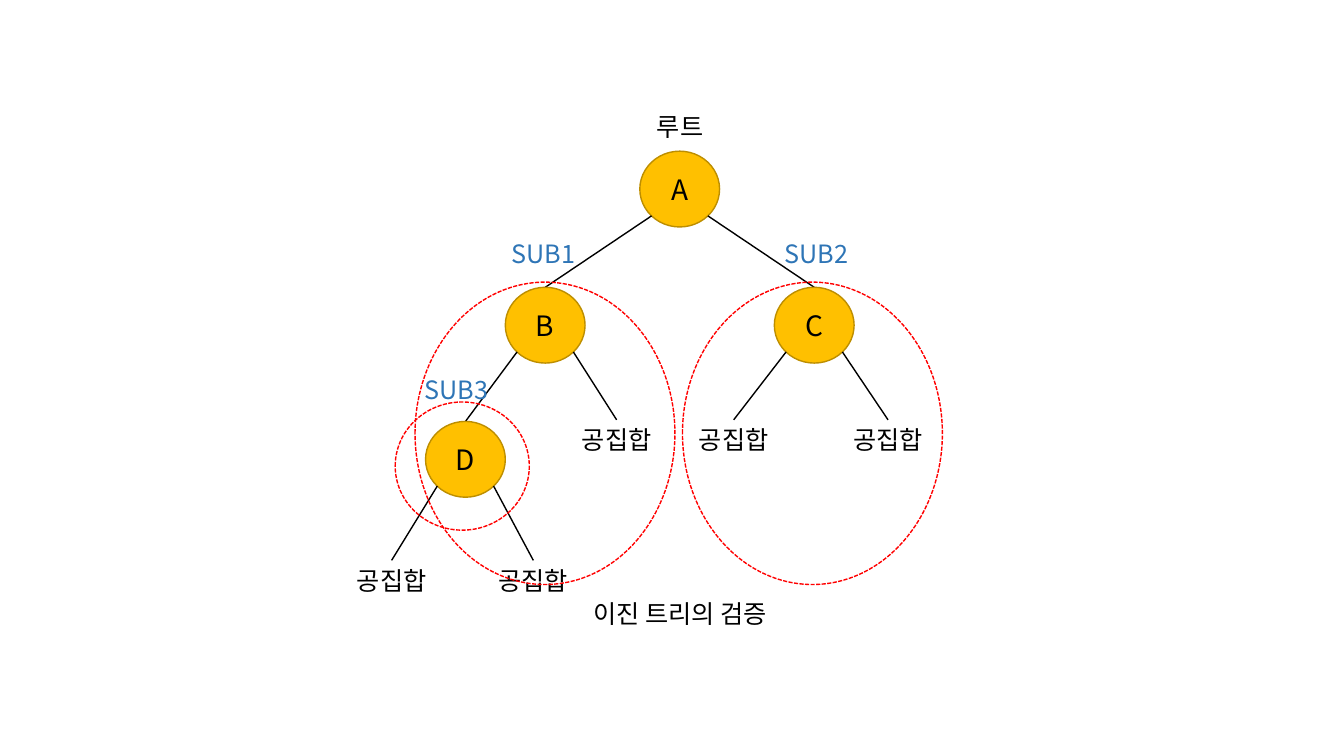
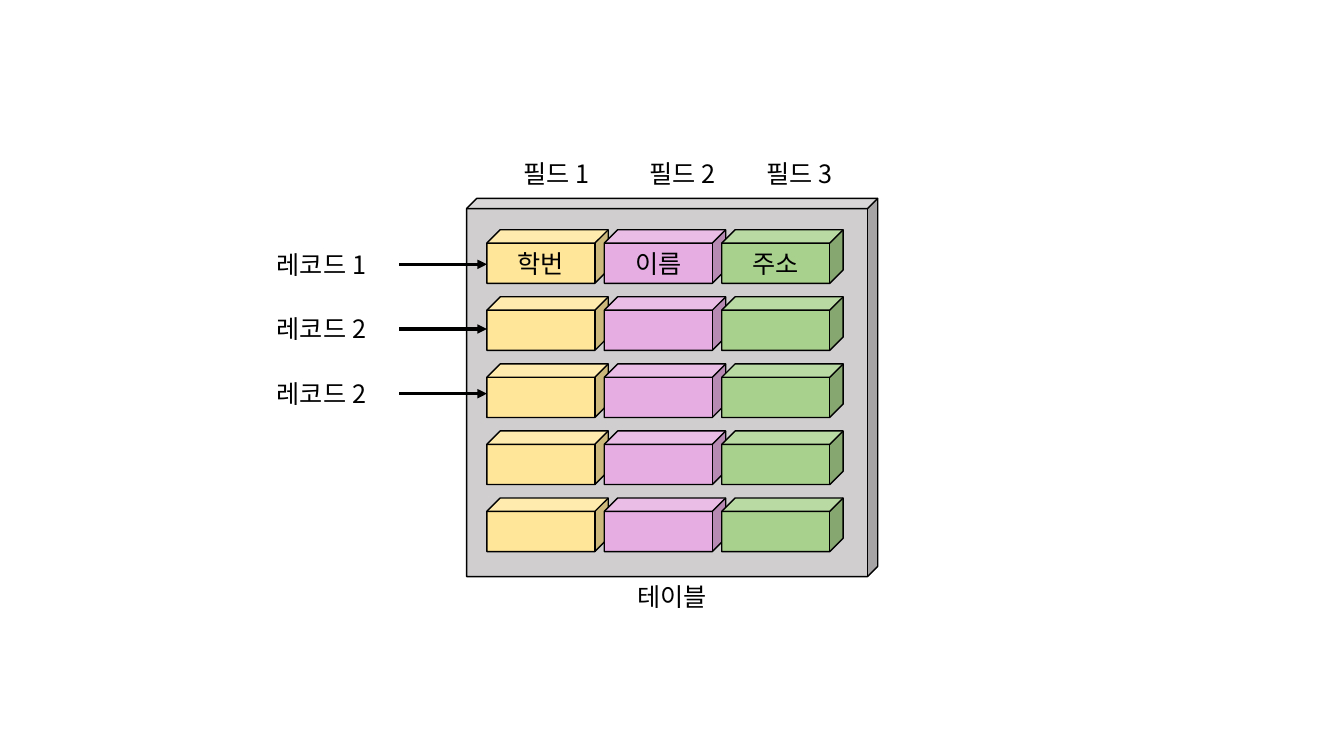
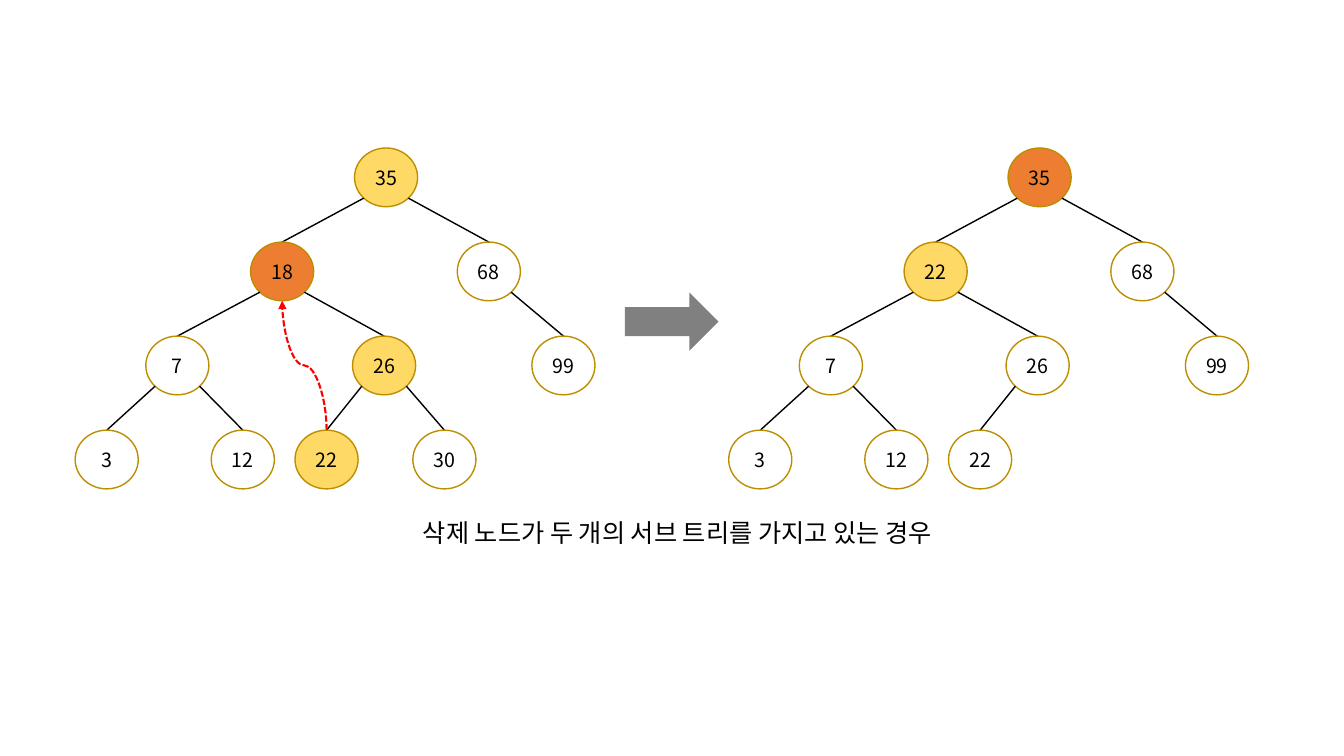
from math import sqrt

from lxml.etree import SubElement
from pptx import Presentation
from pptx.dml.color import RGBColor
from pptx.enum.dml import MSO_LINE
from pptx.enum.shapes import MSO_CONNECTOR, MSO_SHAPE
from pptx.enum.text import MSO_ANCHOR, PP_ALIGN
from pptx.oxml.ns import qn
from pptx.util import Cm, Pt

FONT = "Noto Sans CJK KR"
BLACK, RED, BLUE, GRAY = "000000", "FF0000", "2E75B6", "808080"
GOLD, GOLD_EDGE, YELLOW, ORANGE = "FFC000", "BD8E00", "FFD966", "ED7D31"
LABEL_HEIGHT = 1.02

# Nodes: key -> (text, centre x, top, parent key, fill), in cm
BINARY_NODES = {
    "A": ("A", 17.13, 3.81, None, GOLD),
    "B": ("B", 13.74, 7.24, "A", GOLD),
    "C": ("C", 20.52, 7.24, "A", GOLD),
    "D": ("D", 11.73, 10.62, "B", GOLD),
}
# Empty sets: (centre x, top, parent key)
EMPTY_SETS = [(15.54, 10.58, "B"), (18.49, 10.58, "C"), (22.38, 10.58, "C"),
              (9.87, 14.12, "D"), (13.44, 14.12, "D")]
# Labels: (text, centre x, top, colour)
BINARY_LABELS = [
    ("루트", 17.14, 2.67, BLACK),
    ("이진 트리의 검증", 17.14, 14.94, BLACK),
    ("SUB1", 13.69, 5.89, BLUE),
    ("SUB2", 20.57, 5.89, BLUE),
    ("SUB3", 11.51, 9.3, BLUE),
]
SUBTREE_RINGS = [(17.2, 7.11, 6.55, 7.62), (10.46, 7.11, 6.55, 7.62),
                 (9.96, 10.13, 3.38, 3.23)]

FIELDS = [("필드 1", 14.02, "학번", "FFE699"),
          ("필드 2", 17.2, "이름", "E5ADE2"),
          ("필드 3", 20.14, "주소", "A9D18E")]
RECORDS = ["레코드 1", "레코드 2", "레코드 2"]
ROW_COUNT = 5

# Search tree: key -> (centre x, level, parent key)
SEARCH_NODES = {
    "35": (9.73, 0, None),
    "18": (7.11, 1, "35"),
    "68": (12.32, 1, "35"),
    "7": (4.47, 2, "18"),
    "26": (9.68, 2, "18"),
    "99": (14.2, 2, "68"),
    "3": (2.69, 3, "7"),
    "12": (6.12, 3, "7"),
    "22": (8.23, 3, "26"),
    "30": (11.2, 3, "26"),
}
BEFORE_FILLS = {"35": YELLOW, "18": ORANGE, "26": YELLOW, "22": YELLOW}
AFTER_FILLS = {"35": ORANGE, "18": YELLOW}
SEARCH_TOP, LEVEL_STEP, AFTER_SHIFT = 3.73, 2.37, 16.47
BINARY_SIZE, SEARCH_SIZE = (2.01, 1.91), (1.59, 1.48)


def rgb(value):
    return RGBColor.from_string(value)


def write(box, text, size, colour=BLACK):
    frame = box.text_frame
    frame.text = text
    paragraph = frame.paragraphs[0]
    paragraph.alignment = PP_ALIGN.CENTER
    span = paragraph.runs[0]
    span.font.size = Pt(size)
    span.font.color.rgb = rgb(colour)
    span.font.name = FONT
    SubElement(span._r.get_or_add_rPr(), qn("a:ea"), typeface=FONT)


def add_label(page, text, center, top, colour=BLACK, width=6.3):
    box = page.shapes.add_textbox(Cm(center - width / 2), Cm(top), Cm(width), Cm(LABEL_HEIGHT))
    box.text_frame.word_wrap = True
    write(box, text, 18, colour)


def add_figure(page, kind, bounds, fill=None, line=None, text="", size=18):
    figure = page.shapes.add_shape(kind, *map(Cm, bounds))
    figure.shadow.inherit = False
    if fill:
        figure.fill.solid()
        figure.fill.fore_color.rgb = rgb(fill)
    else:
        figure.fill.background()
    if line:
        figure.line.color.rgb = rgb(line)
        figure.line.width = Pt(1)
    else:
        figure.line.fill.background()
    if text:
        frame = figure.text_frame
        frame.margin_left = frame.margin_right = frame.margin_top = frame.margin_bottom = 0
        frame.vertical_anchor = MSO_ANCHOR.MIDDLE
        write(figure, text, size)
    return figure


def add_line(page, start, end, colour=BLACK, width=1, dashed=False, arrow=False,
             kind=MSO_CONNECTOR.STRAIGHT):
    line = page.shapes.add_connector(kind, *map(Cm, (*start, *end)))
    line.line.color.rgb = rgb(colour)
    line.line.width = Pt(width)
    if dashed:
        line.line.dash_style = MSO_LINE.SQUARE_DOT
    if arrow:
        SubElement(line.line._get_or_add_ln(), qn("a:tailEnd"), type="triangle")
    SubElement(line._element.spPr, qn("a:effectLst"))
    return line


def add_rising_curve(page, start, end):
    """Draw an S-curve that leaves and arrives vertically: a level one turned by 270 degrees."""
    middle_x, middle_y = (start[0] + end[0]) / 2, (start[1] + end[1]) / 2
    reach, rise = (start[1] - end[1]) / 2, (start[0] - end[0]) / 2
    curve = add_line(page, (middle_x - reach, middle_y + rise),
                     (middle_x + reach, middle_y - rise), RED, 1.5,
                     dashed=True, arrow=True, kind=MSO_CONNECTOR.CURVE)
    curve._element.spPr.find(qn("a:xfrm")).set("rot", str(270 * 60000))


def add_branch(page, parent, child, size):
    """Join the lower diagonal point of a parent node to the top of its child."""
    center, top = parent[1:3]
    width, height = size
    side = 1 if child[0] > center else -1
    start = (center + side * width / 2 / sqrt(2), top + height / 2 * (1 + 1 / sqrt(2)))
    add_line(page, start, child)


def add_tree(page, nodes, size, font_size):
    for text, center, top, parent, fill in nodes.values():
        if parent:
            add_branch(page, nodes[parent], (center, top), size)
        add_figure(page, MSO_SHAPE.FLOWCHART_CONNECTOR, (center - size[0] / 2, top, *size),
                   fill, GOLD_EDGE, text, font_size)


def search_tree(fills, shift=0, renamed=None, removed=()):
    renamed = renamed or {}
    return {key: (renamed.get(key, key), center + shift, SEARCH_TOP + LEVEL_STEP * level,
                  parent, fills.get(key))
            for key, (center, level, parent) in SEARCH_NODES.items() if key not in removed}


def binary_tree_page(page):
    add_tree(page, BINARY_NODES, BINARY_SIZE, 20)
    for center, top, parent in EMPTY_SETS:
        add_branch(page, BINARY_NODES[parent], (center, top), BINARY_SIZE)
        add_label(page, "공집합", center, top)
    for text, center, top, colour in BINARY_LABELS:
        add_label(page, text, center, top, colour)
    for bounds in SUBTREE_RINGS:
        ring = add_figure(page, MSO_SHAPE.FLOWCHART_CONNECTOR, bounds, line=RED)
        ring.line.dash_style = MSO_LINE.SQUARE_DOT


def table_page(page):
    left, top, column_step, row_step = 12.27, 5.79, 2.96, 1.69
    board = add_figure(page, MSO_SHAPE.CUBE, (11.76, 5, 10.36, 9.53), "D0CECE", BLACK)
    board.adjustments[0] = 0.027
    add_label(page, "테이블", 16.94, 14.53)
    for row in range(ROW_COUNT):
        for column, (_, _, name, fill) in enumerate(FIELDS):
            bounds = (left + column * column_step, top + row * row_step, 3.06, 1.35)
            add_figure(page, MSO_SHAPE.CUBE, bounds, fill, BLACK, "" if row else name)
    for heading, center, _, _ in FIELDS:
        add_label(page, heading, center, 3.86, width=3.91)
    for index, record in enumerate(RECORDS):
        label_top = 6.15 + index * 1.63
        middle = label_top + LABEL_HEIGHT / 2
        add_label(page, record, 8.1, label_top, width=3.91)
        add_line(page, (10.06, middle), (left, middle), width=2.25, arrow=True)


def deletion_page(page):
    before = search_tree(BEFORE_FILLS)
    after = search_tree(AFTER_FILLS, AFTER_SHIFT, {"18": "22"}, ("30",))
    for nodes in (before, after):
        add_tree(page, nodes, SEARCH_SIZE, 14)
    add_figure(page, MSO_SHAPE.RIGHT_ARROW, (15.75, 7.37, 2.36, 1.47), GRAY)
    add_label(page, "삭제 노드가 두 개의 서브 트리를 가지고 있는 경우", 17.07, 12.9, width=14.12)
    successor, deleted = before["22"], before["18"]
    add_rising_curve(page, successor[1:3], (deleted[1], deleted[2] + SEARCH_SIZE[1]))


def main():
    deck = Presentation()
    deck.slide_width, deck.slide_height = Cm(33.87), Cm(19.05)
    for build in (binary_tree_page, table_page, deletion_page):
        build(deck.slides.add_slide(deck.slide_layouts[6]))
    deck.save("out.pptx")


if __name__ == "__main__":
    main()
